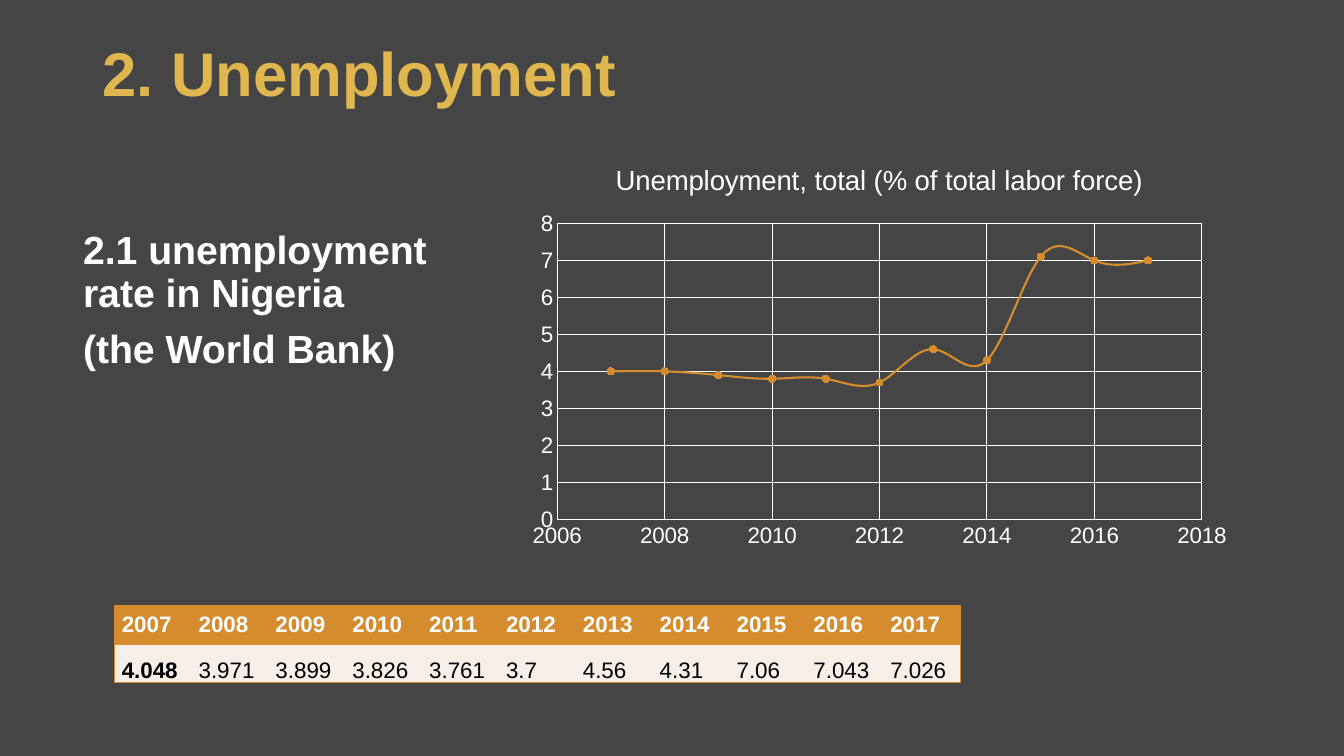
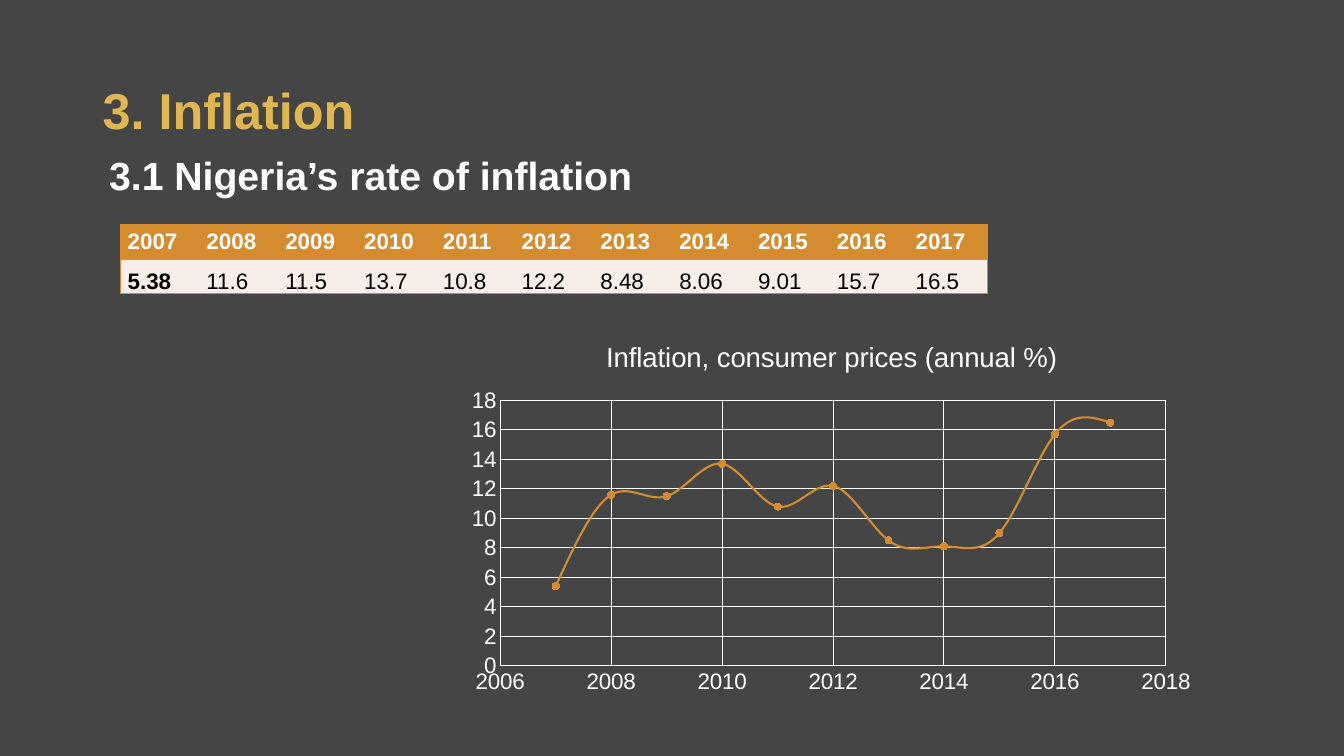
from dataclasses import dataclass

from lxml import etree
from pptx import Presentation
from pptx.chart.data import XyChartData
from pptx.dml.color import RGBColor
from pptx.enum import chart as charts, text
from pptx.oxml import parse_xml
from pptx.oxml.ns import nsdecls, qn
from pptx import util as u

SLIDE_WIDTH, SLIDE_HEIGHT = u.Inches(13.33), u.Inches(7.5)
NO_STYLE_TABLE = "{2D5ABB26-0587-4C30-8999-92F81FD0307C}"
YEARS = range(2007, 2018)


@dataclass(frozen=True)
class Theme:
    font: str = "Arial"
    background: str = "454545"
    title: str = "E0B64E"
    light: str = "FFFFFF"
    dark: str = "000000"
    accent: str = "D58C2E"
    pale: str = "F7EEE8"
    body_size: int = 28
    chart_title_size: float = 19.7
    small_size: int = 16


@dataclass(frozen=True)
class Area:
    """A rectangle in percent of the slide or chart that holds it."""
    left: float
    top: float
    width: float
    height: float

    def on_slide(self) -> tuple[int, int, int, int]:
        return (int(SLIDE_WIDTH * self.left / 100), int(SLIDE_HEIGHT * self.top / 100),
                int(SLIDE_WIDTH * self.width / 100), int(SLIDE_HEIGHT * self.height / 100))


@dataclass(frozen=True)
class Indicator:
    title: str
    title_size: int
    title_anchor: text.MSO_ANCHOR
    body: tuple[str, ...]
    body_area: Area
    rates: tuple[str, ...]
    table_area: Area
    chart_title: str
    chart_title_left: float
    chart_area: Area
    plot_area: Area
    rate_maximum: int
    rate_step: int


THEME = Theme()
TITLE_AREA = Area(6.9, 5.33, 86.27, 19.33)
CHART_TITLE_TOP = 3.55

INDICATORS = (
    Indicator(
        title="2. Unemployment", title_size=44, title_anchor=text.MSO_ANCHOR.TOP,
        body=("2.1 unemployment rate in Nigeria", "(the World Bank)"),
        body_area=Area(5.44, 29.87, 32.33, 63.47),
        rates=("4.048", "3.971", "3.899", "3.826", "3.761", "3.7",
               "4.56", "4.31", "7.06", "7.043", "7.026"),
        table_area=Area(8.54, 80.05, 62.93, 10.27),
        chart_title="Unemployment, total (% of total labor force)",
        chart_title_left=12.8,
        chart_area=Area(38.56, 18.8, 53.78, 54.67),
        plot_area=Area(5.38, 19.7, 89.2, 71.6),
        rate_maximum=8, rate_step=1),
    Indicator(
        title="3. Inflation", title_size=36, title_anchor=text.MSO_ANCHOR.MIDDLE,
        body=("3.1 Nigeria’s rate of inflation",),
        body_area=Area(7.38, 20, 86.27, 63.47),
        rates=("5.38", "11.6", "11.5", "13.7", "10.8", "12.2",
               "8.48", "8.06", "9.01", "15.7", "16.5"),
        table_area=Area(8.98, 29.73, 64.5, 9.13),
        chart_title="Inflation, consumer prices (annual %)",
        chart_title_left=19.3,
        chart_area=Area(33.98, 42.4, 55.65, 50.4),
        plot_area=Area(5.83, 21, 89, 69.6),
        rate_maximum=18, rate_step=2),
)


def rgb(color: str) -> RGBColor:
    return RGBColor.from_string(color)


def set_font(font, size: float, color: str, bold: bool = False) -> None:
    font.name, font.size, font.bold = THEME.font, u.Pt(size), bold
    font.color.rgb = rgb(color)


def set_line(line, color: str, width: float) -> None:
    line.color.rgb = rgb(color)
    line.width = u.Pt(width)


def add_text(slide, area: Area, lines: tuple[str, ...], size: int, color: str,
             anchor=text.MSO_ANCHOR.TOP, space_before: int = 0):
    frame = slide.shapes.add_textbox(*area.on_slide()).text_frame
    frame.word_wrap = True
    frame.vertical_anchor = anchor
    frame.text = "\n".join(lines)
    for paragraph in frame.paragraphs:
        paragraph.line_spacing = 0.9
        paragraph.space_before = u.Pt(space_before)
        set_font(paragraph.font, size, color, bold=True)
    return frame


def add_borders(cell, sides: str) -> None:
    """Outline the given sides of a cell, listed in the order L, R, T, B."""
    properties = cell._tc.get_or_add_tcPr()
    for index, side in enumerate(sides):
        properties.insert(index, parse_xml(
            f'<a:ln{side} {nsdecls("a")} w="{u.Pt(1)}"><a:solidFill>'
            f'<a:srgbClr val="{THEME.accent}"/></a:solidFill></a:ln{side}>'))


def add_rate_table(slide, indicator: Indicator) -> None:
    rows = (tuple(map(str, YEARS)), indicator.rates)
    left, top, width, height = indicator.table_area.on_slide()
    table = slide.shapes.add_table(len(rows), len(YEARS), left, top, width, height).table
    table.horz_banding = False
    table._tbl.tblPr.find(qn("a:tableStyleId")).text = NO_STYLE_TABLE
    for column in table.columns:
        column.width = width // len(YEARS)
    for row_index, row in enumerate(rows):
        header = row_index == 0
        for column_index, value in enumerate(row):
            cell = table.cell(row_index, column_index)
            cell.margin_left = cell.margin_right = u.Inches(0.07)
            cell.margin_top = cell.margin_bottom = 0
            cell.vertical_anchor = text.MSO_ANCHOR.MIDDLE if header else text.MSO_ANCHOR.BOTTOM
            cell.fill.solid()
            cell.fill.fore_color.rgb = rgb(THEME.accent if header else THEME.pale)
            cell.text = value
            set_font(cell.text_frame.paragraphs[0].font, THEME.small_size,
                     THEME.light if header else THEME.dark,
                     bold=header or column_index == 0)
            add_borders(cell, ("L" if column_index == 0 else "")
                        + ("R" if column_index == len(row) - 1 else "") + "TB")


def place(element, index: int, **shares: float) -> None:
    """Fix a chart part at the given percentages of the chart."""
    for layout in element.findall(qn("c:layout")):
        element.remove(layout)
    layout = parse_xml(f'<c:layout {nsdecls("c")}><c:manualLayout/></c:layout>')
    settings = {"xMode": "edge", "yMode": "edge"}
    settings |= {name: str(round(share / 100, 4)) for name, share in shares.items()}
    if "w" in shares:
        settings = {"layoutTarget": "inner"} | settings
    for name, value in settings.items():
        etree.SubElement(layout[0], qn(f"c:{name}"), val=value)
    element.insert(index, layout)


def style_axis(axis, minimum: int, maximum: int, step: int) -> None:
    axis.minimum_scale, axis.maximum_scale, axis.major_unit = minimum, maximum, step
    axis.major_tick_mark = axis.minor_tick_mark = charts.XL_TICK_MARK.NONE
    axis.has_major_gridlines = True
    set_font(axis.tick_labels.font, THEME.small_size, THEME.light)
    axis.tick_labels.number_format = "General"
    axis.tick_labels.number_format_is_linked = False
    for line in (axis.format.line, axis.major_gridlines.format.line):
        set_line(line, THEME.light, 0.75)


def add_rate_chart(slide, indicator: Indicator) -> None:
    data = XyChartData()
    points = data.add_series("Series 1")
    for year, rate in zip(YEARS, indicator.rates):
        points.add_data_point(year, round(float(rate), 1))
    chart = slide.shapes.add_chart(charts.XL_CHART_TYPE.XY_SCATTER_SMOOTH,
                                   *indicator.chart_area.on_slide(), data).chart
    chart.has_legend = False
    set_font(chart.font, THEME.small_size, THEME.light)

    title = chart.chart_title
    title.text_frame.text = indicator.chart_title
    set_font(title.text_frame.paragraphs[0].font, THEME.chart_title_size, THEME.light)
    place(title._element, 1, x=indicator.chart_title_left, y=CHART_TITLE_TOP)

    plot = indicator.plot_area
    place(chart._chartSpace.chart.plotArea, 0,
          x=plot.left, y=plot.top, w=plot.width, h=plot.height)
    style_axis(chart.category_axis, YEARS[0] - 1, YEARS[-1] + 1, 2)
    style_axis(chart.value_axis, 0, indicator.rate_maximum, indicator.rate_step)

    chart.plots[0].vary_by_categories = False
    series = chart.plots[0].series[0]
    series._element.get_or_add_smooth().val = True
    set_line(series.format.line, THEME.accent, 1.5)
    marker = series.marker
    marker.style, marker.size = charts.XL_MARKER_STYLE.CIRCLE, 5
    marker.format.fill.solid()
    marker.format.fill.fore_color.rgb = rgb(THEME.accent)
    set_line(marker.format.line, THEME.accent, 0.75)


def add_indicator_slide(presentation, indicator: Indicator) -> None:
    slide = presentation.slides.add_slide(presentation.slide_layouts[6])
    slide.background.fill.solid()
    slide.background.fill.fore_color.rgb = rgb(THEME.background)
    title = add_text(slide, TITLE_AREA, (indicator.title,), indicator.title_size,
                     THEME.title, indicator.title_anchor)
    title.margin_top = title.margin_bottom = u.Inches(0.03)
    add_text(slide, indicator.body_area, indicator.body, THEME.body_size,
             THEME.light, space_before=10)
    add_rate_table(slide, indicator)
    add_rate_chart(slide, indicator)


def main() -> None:
    presentation = Presentation()
    presentation.slide_width, presentation.slide_height = SLIDE_WIDTH, SLIDE_HEIGHT
    for indicator in INDICATORS:
        add_indicator_slide(presentation, indicator)
    presentation.save("out.pptx")


if __name__ == "__main__":
    main()
